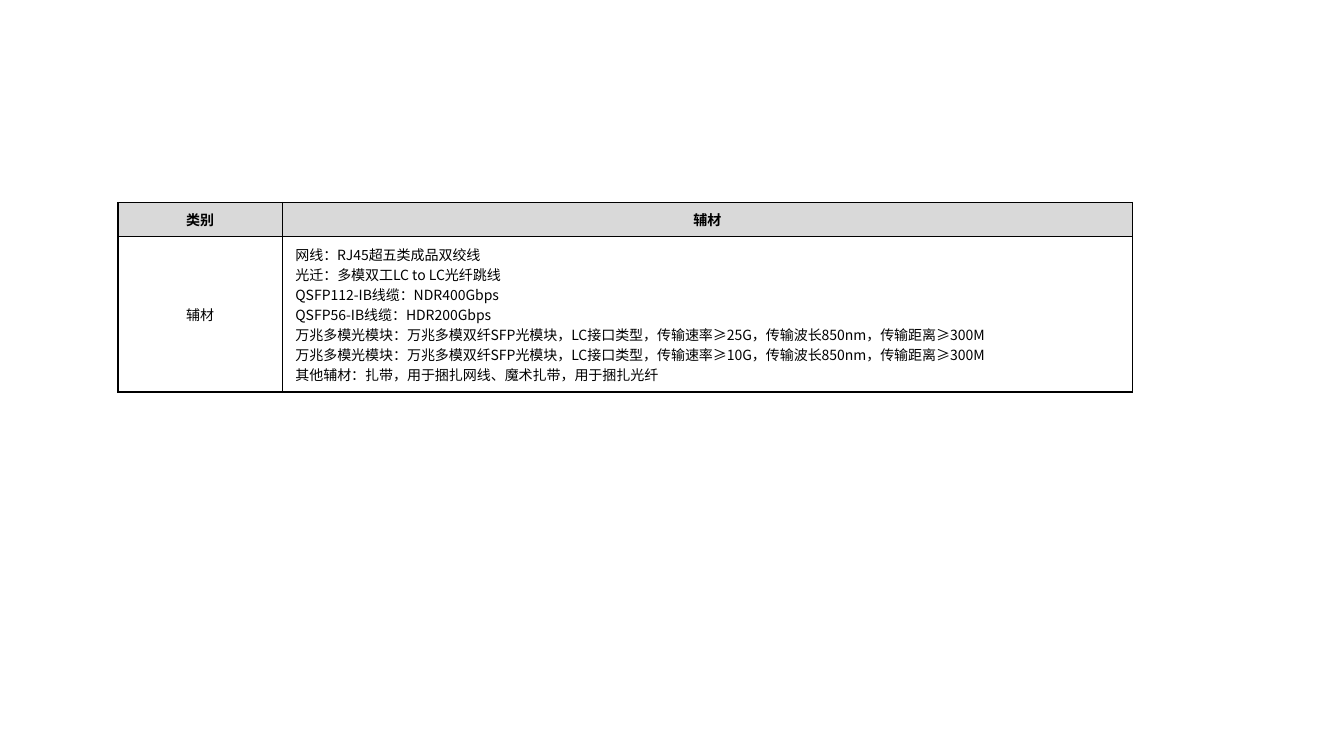
import pptx
import pptx.dml.color
import pptx.enum.text
import pptx.oxml.ns
import pptx.util
import lxml.etree

Inches = pptx.util.Inches
Pt = pptx.util.Pt
qn = pptx.oxml.ns.qn
PP_ALIGN = pptx.enum.text.PP_ALIGN


def color(value):
    return pptx.dml.color.RGBColor.from_string(value)


class SlideBuilder:
    font = "Noto Sans CJK SC"
    size = 10
    ink = "000000"
    header_fill = "D9D9D9"
    body_fill = "FFFFFF"
    border_width = 1

    def __init__(self, prs):
        self.slide = prs.slides.add_slide(prs.slide_layouts[6])

    def table(self, left, top, widths, heights, rows):
        frame = self.slide.shapes.add_table(
            len(rows), len(widths), Inches(left), Inches(top),
            Inches(sum(widths)), Inches(sum(heights)))
        table = frame.table
        for column, width in zip(table.columns, widths):
            column.width = Inches(width)
        for row, height in zip(table.rows, heights):
            row.height = Inches(height)
        for i, texts in enumerate(rows):
            for j, text in enumerate(texts):
                centered = i == 0 or j == 0
                self.cell(table.cell(i, j), text, i == 0, centered)

    def cell(self, cell, text, header, centered):
        cell.margin_left = cell.margin_right = Inches(0.13)
        cell.margin_top = cell.margin_bottom = Inches(0.07)
        cell.vertical_anchor = pptx.enum.text.MSO_ANCHOR.MIDDLE
        cell.fill.solid()
        cell.fill.fore_color.rgb = color(self.header_fill if header else self.body_fill)
        cell.text_frame.text = text
        for p in cell.text_frame.paragraphs:
            p.alignment = PP_ALIGN.CENTER if centered else PP_ALIGN.LEFT
            for r in p.runs:
                self.style_run(r, header)
        self.borders(cell)

    def style_run(self, r, bold):
        r.font.name = self.font
        r.font.size = Pt(self.size)
        r.font.bold = bold
        r.font.color.rgb = color(self.ink)
        ea = lxml.etree.SubElement(r.font._element, qn("a:ea"))
        ea.set("typeface", self.font)

    def borders(self, cell):
        tc_pr = cell._tc.get_or_add_tcPr()
        for i, side in enumerate(("lnL", "lnR", "lnT", "lnB")):
            ln = tc_pr.makeelement(qn("a:" + side), {"w": str(Pt(self.border_width))})
            fill = lxml.etree.SubElement(ln, qn("a:solidFill"))
            lxml.etree.SubElement(fill, qn("a:srgbClr"), val=self.ink)
            tc_pr.insert(i, ln)


def main():
    prs = pptx.Presentation()
    prs.slide_width = Inches(13.33)
    prs.slide_height = Inches(7.5)
    materials = "\n".join([
        "网线：RJ45超五类成品双绞线",
        "光迁：多模双工LC to LC光纤跳线",
        "QSFP112-IB线缆：NDR400Gbps",
        "QSFP56-IB线缆：HDR200Gbps",
        *(f"万兆多模光模块：万兆多模双纤SFP光模块，LC接口类型，传输速率≥{rate}，传输波长850nm，传输距离≥300M"
          for rate in ("25G", "10G")),
        "其他辅材：扎带，用于捆扎网线、魔术扎带，用于捆扎光纤",
    ])
    s = SlideBuilder(prs)
    s.table(1.17, 2.01, [1.63, 8.43], [0.33, 1.54],
            [["类别", "辅材"], ["辅材", materials]])
    prs.save("out.pptx")


if __name__ == "__main__":
    main()
